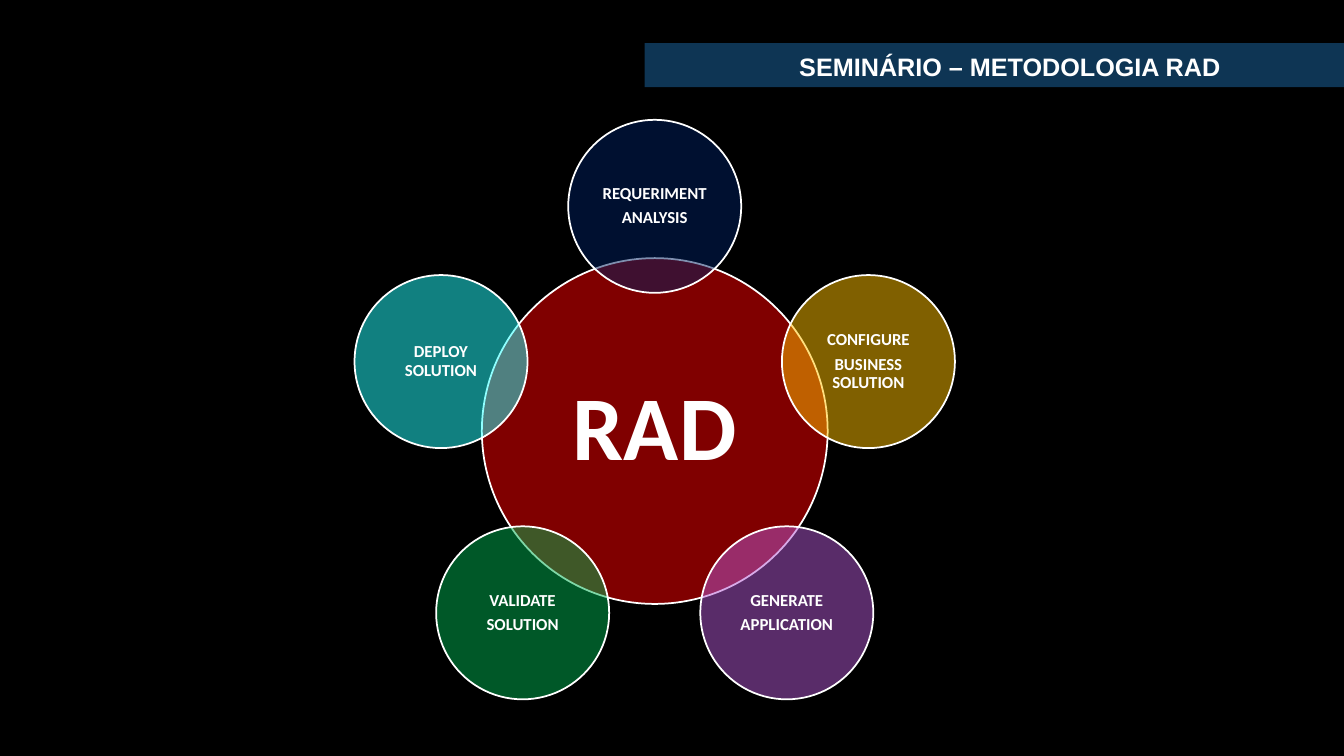
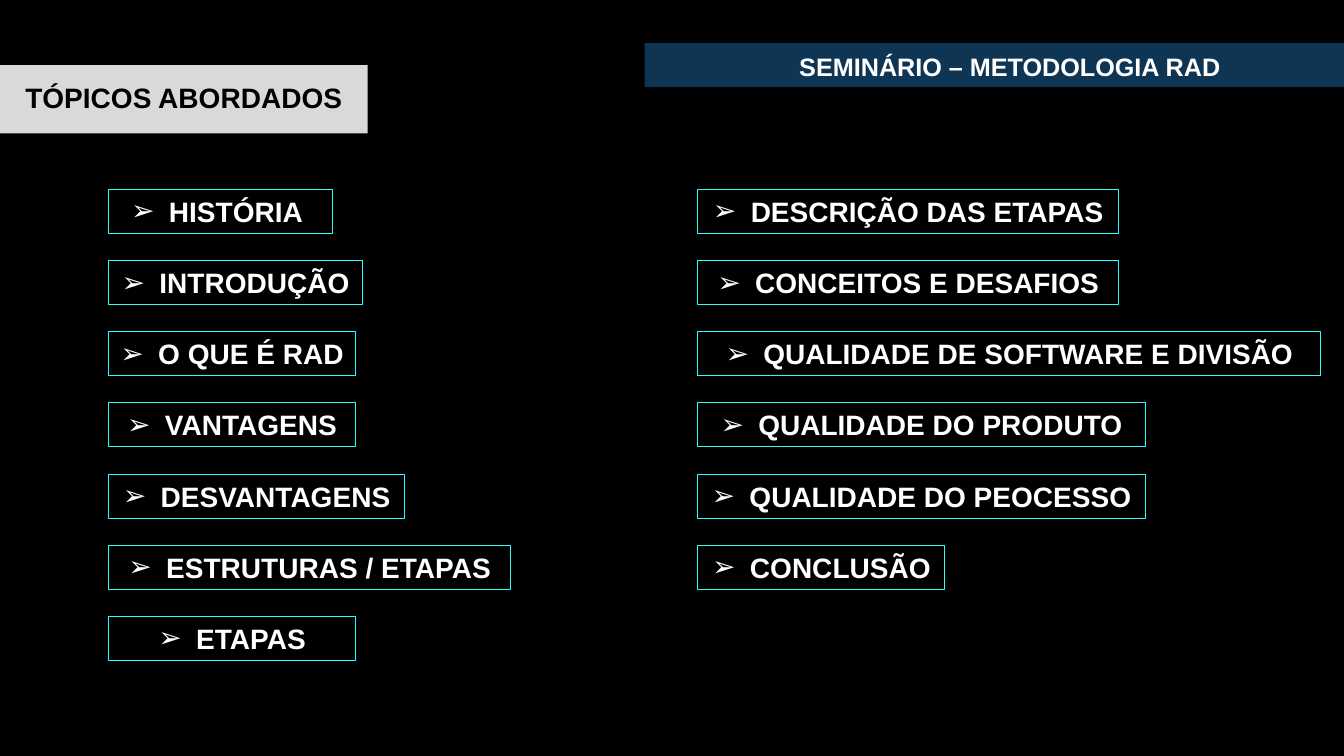
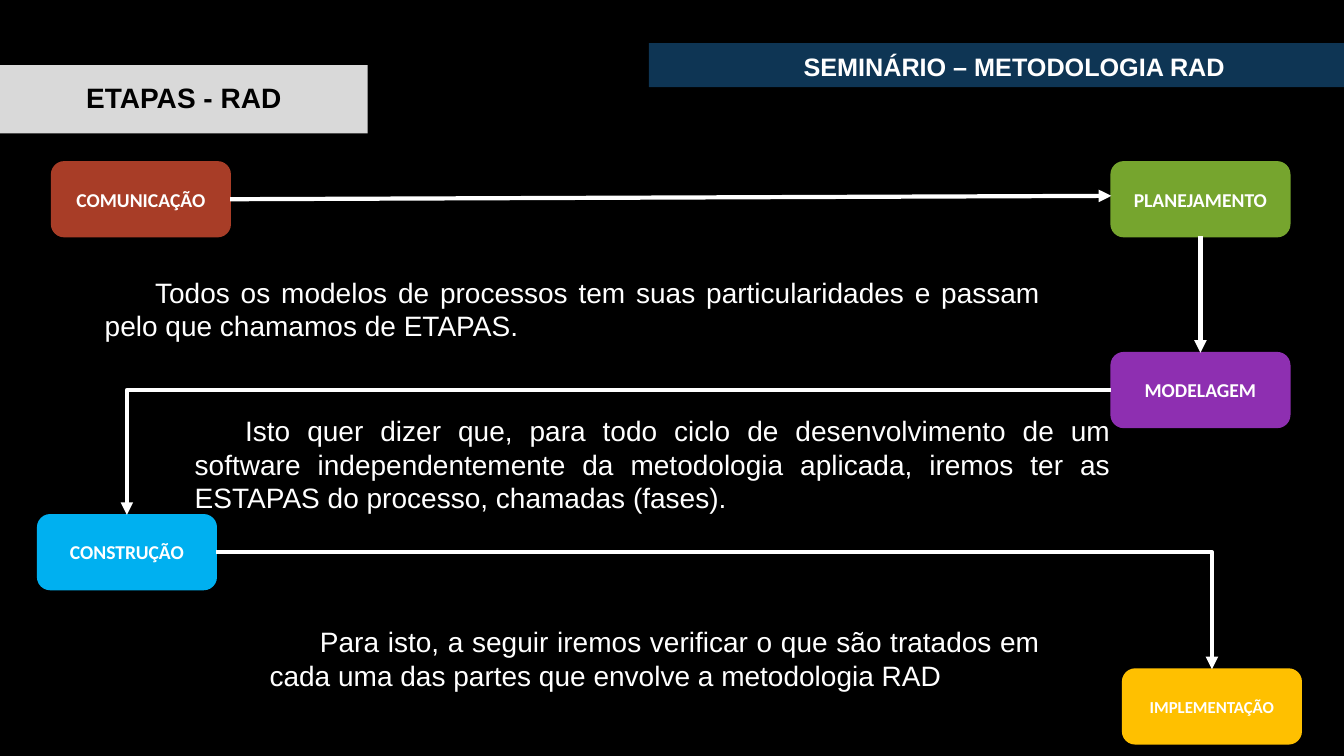
from math import cos, radians, sin

from lxml import etree
from pptx import Presentation
from pptx.dml.color import RGBColor
from pptx.enum.shapes import MSO_CONNECTOR, MSO_SHAPE
from pptx.enum.text import MSO_ANCHOR, PP_ALIGN
from pptx.oxml.ns import qn
from pptx.util import Pt

RECT, ROUND, OVAL = MSO_SHAPE.RECTANGLE, MSO_SHAPE.ROUNDED_RECTANGLE, MSO_SHAPE.OVAL
LINE, ELBOW = MSO_CONNECTOR.STRAIGHT, MSO_CONNECTOR.ELBOW
TOP, MID, LOW = MSO_ANCHOR.TOP, MSO_ANCHOR.MIDDLE, MSO_ANCHOR.BOTTOM
CENTER, JUSTIFY = PP_ALIGN.CENTER, PP_ALIGN.JUSTIFY

BLACK = RGBColor(0x00, 0x00, 0x00)
WHITE = RGBColor(0xFF, 0xFF, 0xFF)
NAVY = RGBColor(0x0E, 0x35, 0x54)
GRAY = RGBColor(0xD9, 0xD9, 0xD9)
CYAN = RGBColor(0x22, 0xFF, 0xFF)
RED = RGBColor(0xFF, 0x00, 0x00)
BLUE = RGBColor(0x00, 0x20, 0x60)
GOLD = RGBColor(0xFF, 0xC0, 0x00)
LILAC = RGBColor(0xB2, 0x58, 0xD3)
GREEN = RGBColor(0x00, 0xB0, 0x50)
RUST = RGBColor(0xA8, 0x3D, 0x27)
LIME = RGBColor(0x76, 0xA5, 0x2E)
PLUM = RGBColor(0x8E, 0x2F, 0xB1)
SKY = RGBColor(0x00, 0xB0, 0xF0)


def tile(page, kind, x, y, w, h, fill=None, line=None, width=1.25, alpha=None):
    box = page.shapes.add_shape(kind, Pt(x), Pt(y), Pt(w), Pt(h))
    box.shadow.inherit = False
    if fill is None:
        box.fill.background()
    else:
        box.fill.solid()
        box.fill.fore_color.rgb = fill
    if alpha:
        tint = box._element.spPr.find(qn("a:solidFill"))[0]
        etree.SubElement(tint, qn("a:alpha"), val=str(alpha * 1000))
    if line is None:
        box.line.fill.background()
    else:
        box.line.color.rgb = line
        box.line.width = Pt(width)
    return box


def put(box, text, size=20, font="Arial", color=WHITE, bold=True, align=CENTER,
        anchor=MID, space=None, after=None, inset=None, left=0, first=0, mark=None):
    frame = box.text_frame
    frame.word_wrap = True
    frame.vertical_anchor = anchor
    if inset is not None:
        frame.margin_left = frame.margin_right = Pt(inset)
        frame.margin_top = frame.margin_bottom = Pt(inset)
    for i, part in enumerate(text.split("\n")):
        para = frame.add_paragraph() if i else frame.paragraphs[0]
        para.alignment = align
        if space:
            para.line_spacing = space
        if after:
            para.space_after = Pt(after)
        props = para._p.get_or_add_pPr()
        props.set("marL", str(Pt(left)))
        props.set("indent", str(Pt(first)))
        if mark:
            etree.SubElement(props, qn("a:buFont"), typeface="Arial")
            etree.SubElement(props, qn("a:buChar"), char=mark)
        run = para.add_run()
        run.text = part
        run.font.size = Pt(size)
        run.font.name = font
        run.font.bold = bold
        run.font.color.rgb = color


deck = Presentation()
deck.slide_width, deck.slide_height = Pt(960), Pt(540)
back = deck.slide_master.background.fill
back.solid()
back.fore_color.rgb = BLACK

pages = []
for title, x in [(None, 460.4), ("TÓPICOS ABORDADOS", 460.4), ("ETAPAS - RAD", 463.5)]:
    page = deck.slides.add_slide(deck.slide_layouts[6])
    band = tile(page, RECT, x, 30.8, 522, 31.5, NAVY)
    put(band, "SEMINÁRIO – METODOLOGIA RAD", size=18, anchor=LOW, space=0.9)
    if title:
        head = tile(page, RECT, 0, 46.6, 262.6, 48.6, GRAY)
        put(head, title, color=BLACK, space=0.9)
    pages.append(page)
wheel, topics, steps = pages

mid_x, mid_y, orbit = 467.7, 307.9, 160.5
hub, disc = 247, 123.6
core = tile(wheel, OVAL, mid_x - hub / 2, mid_y - hub / 2, hub, hub, RED, WHITE, alpha=50)
put(core, "RAD", size=65, font="Calibri", space=0.9, inset=6.5)
phases = [
    ("REQUERIMENT\nANALYSIS", BLUE),
    ("CONFIGURE\nBUSINESS SOLUTION", GOLD),
    ("GENERATE\nAPPLICATION", LILAC),
    ("VALIDATE\nSOLUTION", GREEN),
    ("DEPLOY SOLUTION", CYAN),
]
for i, (text, fill) in enumerate(phases):
    turn = radians(360 / len(phases) * i)
    x = mid_x + orbit * sin(turn) - disc / 2
    y = mid_y - orbit * cos(turn) - disc / 2
    ball = tile(wheel, OVAL, x, y, disc, disc, fill, WHITE, alpha=50)
    put(ball, text, size=12, font="Calibri", space=0.9, after=4.3, inset=1.4)

lists = [
    (77.5, [("HISTÓRIA ", 160), ("INTRODUÇÃO ", 181.5), ("O QUE É RAD ", 176.5),
            ("VANTAGENS", 176.5), ("DESVANTAGENS", 211.5),
            ("ESTRUTURAS / ETAPAS", 287.5), ("ETAPAS", 176.5)]),
    (498.5, [("DESCRIÇÃO DAS ETAPAS", 300.5), ("CONCEITOS E DESAFIOS", 300.5),
             ("QUALIDADE DE SOFTWARE E DIVISÃO", 445), ("QUALIDADE DO PRODUTO", 319.5),
             ("QUALIDADE DO PEOCESSO", 319.5), ("CONCLUSÃO", 176.5)]),
]
for x, items in lists:
    for i, (text, w) in enumerate(items):
        item = tile(topics, RECT, x, 135.4 + 50.8 * i, w, 31.5, line=CYAN, width=0.75)
        put(item, text, anchor=TOP, left=27, first=-27, mark="➢")

notes = [
    (67.7, 193, 682.5, 55.7, "Todos os modelos de processos tem suas particularidades e passam "
     "pelo que chamamos de ETAPAS."),
    (132, 291.8, 668.5, 80, "Isto quer dizer que, para todo ciclo de desenvolvimento de um "
     "software independentemente da metodologia aplicada, iremos ter as ESTAPAS do processo, "
     "chamadas (fases)."),
    (185.5, 442.8, 564.5, 55.7, "Para isto, a seguir iremos verificar o que são tratados em "
     "cada uma das partes que envolve a metodologia RAD"),
]
for x, y, w, h, text in notes:
    note = steps.shapes.add_textbox(Pt(x), Pt(y), Pt(w), Pt(h))
    put(note, text, bold=False, align=JUSTIFY, anchor=TOP, first=36)

stages = []
for text, x, y, fill, size in [
    ("COMUNICAÇÃO", 37, 115.7, RUST, 14),
    ("PLANEJAMENTO", 793.8, 115.7, LIME, 14),
    ("MODELAGEM", 793.8, 252, PLUM, 14),
    ("CONSTRUÇÃO", 27, 367.8, SKY, 14),
    ("IMPLEMENTAÇÃO", 802, 478, GOLD, 12),
]:
    stage = tile(steps, ROUND, x, y, 127.4, 53.2, fill, fill)
    put(stage, text, size=size, font="Calibri")
    stages.append(stage)

talk, plan, model, build, ship = stages
for kind, start, out, end, into in [
    (LINE, talk, 3, plan, None),
    (LINE, plan, 2, model, 0),
    (ELBOW, model, 1, build, 0),
    (ELBOW, build, 3, ship, 0),
]:
    arrow = steps.shapes.add_connector(kind, 0, 0, Pt(793.8), Pt(139.9))
    arrow.begin_connect(start, out)
    if into is not None:
        arrow.end_connect(end, into)
    arrow.line.color.rgb = WHITE
    arrow.line.width = Pt(3)
    props = arrow._element.spPr
    if kind == ELBOW:
        props.find(qn("a:prstGeom")).set("prst", "bentConnector2")
    etree.SubElement(props.find(qn("a:ln")), qn("a:tailEnd"), type="triangle")
    etree.SubElement(props, qn("a:effectLst"))

deck.save("out.pptx")
